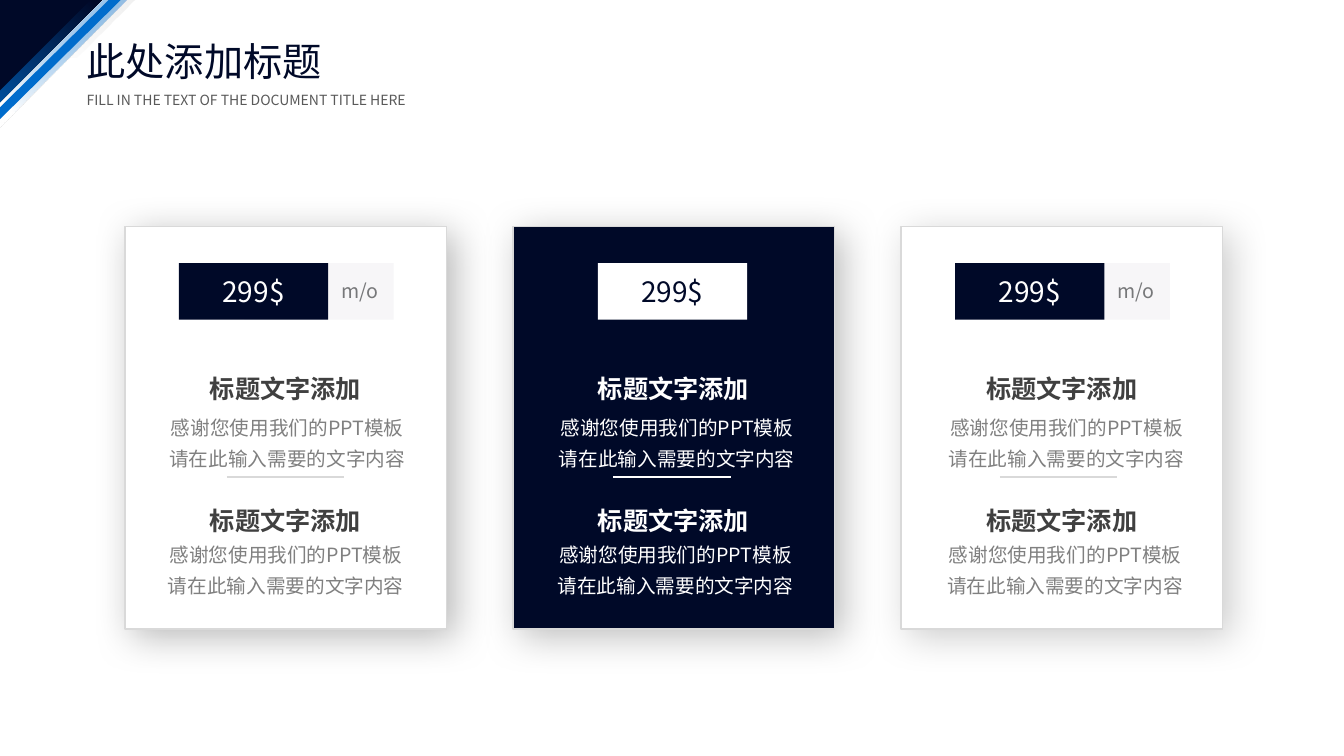
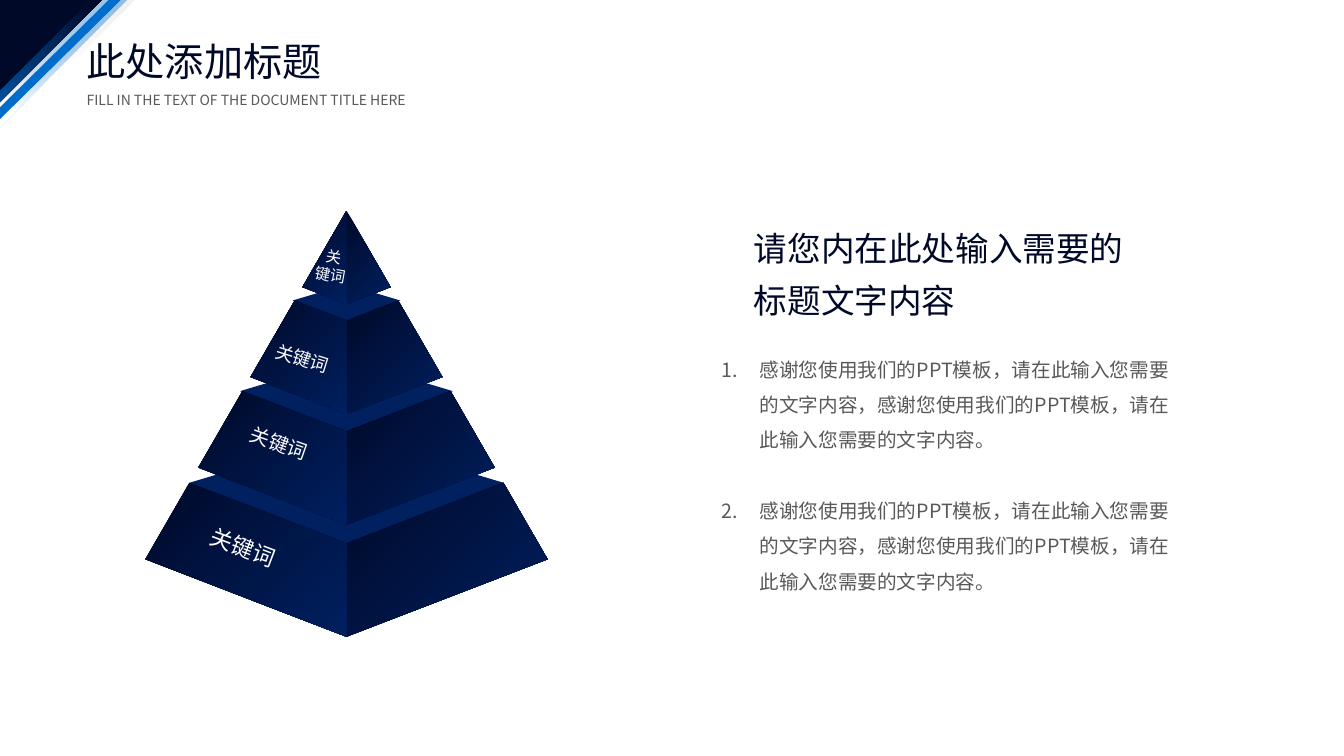
from lxml.etree import SubElement
from pptx import Presentation
from pptx.dml.color import RGBColor
from pptx.enum.shapes import MSO_CONNECTOR, MSO_SHAPE
from pptx.enum.text import MSO_ANCHOR, MSO_AUTO_SIZE, PP_ALIGN
from pptx.oxml.ns import qn
from pptx.util import Pt

NAVY = RGBColor(0x00, 0x09, 0x28)
DEEP_BLUE = RGBColor(0x00, 0x20, 0x60)
BLUE = RGBColor(0x00, 0x6C, 0xCC)
WHITE = RGBColor(0xFF, 0xFF, 0xFF)
PALE = RGBColor(0xF7, 0xF6, 0xF8)
SILVER = RGBColor(0xD9, 0xD9, 0xD9)
GRAY = RGBColor(0x80, 0x80, 0x80)
UNIT_GRAY = RGBColor(0x77, 0x78, 0x7A)
DARK_GRAY = RGBColor(0x59, 0x59, 0x59)
CHARCOAL = RGBColor(0x40, 0x40, 0x40)
FONT = "Noto Sans CJK SC"


def write(sp, text, size, color, font=FONT, bold=False, align=PP_ALIGN.LEFT, spacing=1.0,
          gap=0, wrap=True, anchor=MSO_ANCHOR.TOP, inset=None, numbered=False):
    tf = sp.text_frame
    tf.word_wrap = wrap
    tf.auto_size = MSO_AUTO_SIZE.NONE
    tf.vertical_anchor = anchor
    if inset is not None:
        tf.margin_left = tf.margin_right = tf.margin_top = tf.margin_bottom = Pt(inset)
    for i, line in enumerate(text.split("\n")):
        p = tf.paragraphs[0] if i == 0 else tf.add_paragraph()
        pPr = p._p.get_or_add_pPr()
        indent = Pt(27) if numbered else 0
        pPr.set("marL", str(indent))
        pPr.set("indent", str(-indent))
        if numbered:
            SubElement(pPr, qn("a:buFont"), typeface=FONT)
            SubElement(pPr, qn("a:buAutoNum"), type="arabicPeriod")
        else:
            SubElement(pPr, qn("a:buNone"))
        p.alignment = align
        p.line_spacing = spacing
        p.space_before = Pt(gap if i else 0)
        r = p.add_run()
        r.text = line
        r.font.size = Pt(size)
        r.font.bold = bold
        r.font.color.rgb = color
        r.font.name = font
        SubElement(r._r.get_or_add_rPr(), qn("a:ea"), typeface=FONT)


def paint(sp, *stops, angle=315):
    sp.shadow.inherit = False
    sp.line.fill.background()
    if len(stops) == 1:
        sp.fill.solid()
        sp.fill.fore_color.rgb = stops[0]
        return
    sp.fill.gradient()
    sp.fill.gradient_angle = angle
    for stop, (position, color, alpha) in zip(sp.fill.gradient_stops, stops):
        stop.position = position
        stop.color.rgb = color
    for clr, (_, _, alpha) in zip(sp.element.spPr.iter(qn("a:srgbClr")), stops):
        if alpha < 100:
            SubElement(clr, qn("a:alpha"), val=str(alpha * 1000))


prs = Presentation()
prs.slide_width = Pt(960)
prs.slide_height = Pt(540)

layout = prs.slide_layouts[3]
for ph in list(layout.placeholders)[3:]:
    ph.element.getparent().remove(ph.element)
for ph, box in zip(layout.placeholders, [
    (54.7, 23, 215.3, 41), (54.7, 61.9, 245.5, 19.4), (508.3, 243.4, 339.1, 180.7),
]):
    ph.left, ph.top, ph.width, ph.height = map(Pt, box)

pricing, pyramid = [prs.slides.add_slide(layout) for _ in range(2)]
for s in (pricing, pyramid):
    write(s.shapes.title, "此处添加标题", 28, NAVY, align=PP_ALIGN.JUSTIFY)
    write(s.placeholders[1], "FILL IN THE TEXT OF THE DOCUMENT TITLE HERE", 10, DARK_GRAY,
          wrap=False)
unused = pricing.placeholders[2].element
unused.getparent().remove(unused)

corner = []
for kind, box, adjust, rotation, stops, angle in [
    (MSO_SHAPE.DIAGONAL_STRIPE, (35.3, -31.7, 72.7, 72.7), 0.734, 180,
     [(0, WHITE, 66), (1, SILVER, 47)], 225),
    (MSO_SHAPE.PARALLELOGRAM, (-33.8, -10.8, 117.4, 108.7), 1, 0,
     [(0, BLUE, 100), (0.88, NAVY, 100)], 45),
    (MSO_SHAPE.PARALLELOGRAM, (-24.5, -10.8, 126, 108.7), 1, 0,
     [(0.22, WHITE, 100), (1, BLUE, 36)], 45),
]:
    sp = pricing.shapes.add_shape(kind, *map(Pt, box))
    sp.adjustments[0] = adjust
    sp.rotation = rotation
    paint(sp, *stops, angle=angle)
    corner.append(sp)
stripe = pricing.shapes.add_connector(MSO_CONNECTOR.STRAIGHT, Pt(92.9), Pt(-10.8), Pt(-18), Pt(98.6))
stripe.line.color.rgb = BLUE
stripe.line.width = Pt(6)
SubElement(stripe.element.spPr, qn("a:effectLst"))
triangle = pricing.shapes.add_shape(MSO_SHAPE.RIGHT_TRIANGLE, Pt(-56.2), Pt(-52.6), Pt(101.5), Pt(101.5))
triangle.rotation = 315
paint(triangle, NAVY)
for i, sp in enumerate(corner + [stripe, triangle]):
    layout.shapes.element.insert(2 + i, sp.element)

shapes = pricing.shapes
for i, shadow_alpha in enumerate((28, 25, 20)):
    featured = i == 1
    x = 89.3 + 277.2 * i
    card = shapes.add_shape(MSO_SHAPE.RECTANGLE, Pt(x), Pt(162), Pt(229.7), Pt(287.3))
    paint(card, NAVY if featured else WHITE)
    card.line.color.rgb = SILVER
    card.line.width = Pt(1)
    shadow = SubElement(card.element.spPr.find(qn("a:effectLst")), qn("a:outerShdw"),
                        blurRad=str(Pt(28)), dist=str(Pt(7)), dir="2700000", rotWithShape="0")
    black = SubElement(shadow, qn("a:srgbClr"), val="000000")
    SubElement(black, qn("a:alpha"), val=str(shadow_alpha * 1000))

    plate_x = x + (60.5 if featured else 38.5)
    plates = [(0, WHITE)] if featured else [(46.8, PALE), (0, NAVY)]
    for offset, color in plates:
        paint(shapes.add_shape(MSO_SHAPE.RECTANGLE, Pt(plate_x + offset), Pt(188), Pt(106.6), Pt(40.3)),
              color)
    labels = [("299$", 20, NAVY if featured else WHITE, 26.6, 55.4)]
    if not featured:
        labels.append(("m/o", 14, UNIT_GRAY, 111.4, 36.7))
    for text, size, color, offset, width in labels:
        write(shapes.add_textbox(Pt(plate_x + offset), Pt(191.5), Pt(width), Pt(32.4)), text, size, color,
              wrap=False, anchor=MSO_ANCHOR.MIDDLE, inset=4.5)

    for heading_y, body_x, body_y in [(258.5, 105.1, 288.6), (352.8, 104.1, 379.4)]:
        write(shapes.add_textbox(Pt(x + 16), Pt(heading_y), Pt(197.3), Pt(29.5)), "标题文字添加", 18,
              WHITE if featured else CHARCOAL, bold=True, align=PP_ALIGN.CENTER, spacing=1.2)
        write(shapes.add_textbox(Pt(body_x + 278.3 * i), Pt(body_y), Pt(200.2), Pt(48.2)),
              "感谢您使用我们的PPT模板\n请在此输入需要的文字内容", 14,
              WHITE if featured else GRAY, align=PP_ALIGN.CENTER, spacing=1.3)
    rule_x = 162 + 276.1 * i
    rule = shapes.add_connector(MSO_CONNECTOR.STRAIGHT, Pt(rule_x), Pt(340.6), Pt(rule_x + 84), Pt(340.6))
    rule.line.color.rgb = WHITE if featured else SILVER
    rule.line.width = Pt(1)
    SubElement(rule.element.spPr, qn("a:effectLst"))

shapes = pyramid.shapes
write(shapes.add_textbox(Pt(531.4), Pt(150.5), Pt(280.8), Pt(77)),
      "请您内在此处输入需要的\n标题文字内容", 24, NAVY, spacing=1.3, wrap=False)
item = "感谢您使用我们的PPT模板，请在此输入您需要的文字内容，感谢您使用我们的PPT模板，请在此输入您需要的文字内容。"
write(pyramid.placeholders[2], f"{item}\n{item}", 14, DARK_GRAY, spacing=1.5, gap=25.4, numbered=True)

CENTER, APEX, TIER_HEIGHT = 247.5, 150.5, 54.6
SLOPE, FRONT, BACK = 0.577, 0.385, 0.3
for top, cap_half in [(344.9, 112.3), (279.4, 76), (214.7, 38.5), (APEX, 0)]:
    bottom = top + TIER_HEIGHT
    top_half, bottom_half = (top - APEX) * SLOPE, (bottom - APEX) * SLOPE
    outlines = []
    if cap_half:
        outlines.append(([(0, top - BACK * cap_half), (-cap_half, top),
                          (0, top + FRONT * cap_half), (cap_half, top)], [DEEP_BLUE]))
    for side in (1, -1):
        face = [(side * top_half, top), (0, top + FRONT * top_half),
                (0, bottom + FRONT * bottom_half), (side * bottom_half, bottom)]
        outlines.append((face, [(0, NAVY, 100), (1, DEEP_BLUE, 100)]))
    for points, stops in outlines:
        points = [(Pt(CENTER + dx), Pt(y)) for dx, y in points]
        builder = shapes.build_freeform(*points[0], scale=1.0)
        builder.add_line_segments(points[1:], close=True)
        paint(builder.convert_to_shape(), *stops)

for text, size, x, y, width, rotation in [
    ("关键词", 16, 144, 378.7, 59.8, 20.7),
    ("关键词", 14, 180.7, 304.6, 37.4, 19.4),
    ("关键词", 13, 197.3, 244.1, 37.4, 17.6),
    ("关\n键词", 11, 218.9, 177.8, 37.4, 9.9),
]:
    sp = shapes.add_textbox(Pt(x), Pt(y), Pt(width), Pt(23.8))
    sp.rotation = rotation
    write(sp, text, size, WHITE, font="Arial", align=PP_ALIGN.CENTER, wrap=False,
          anchor=MSO_ANCHOR.MIDDLE, inset=0)

prs.save("out.pptx")
